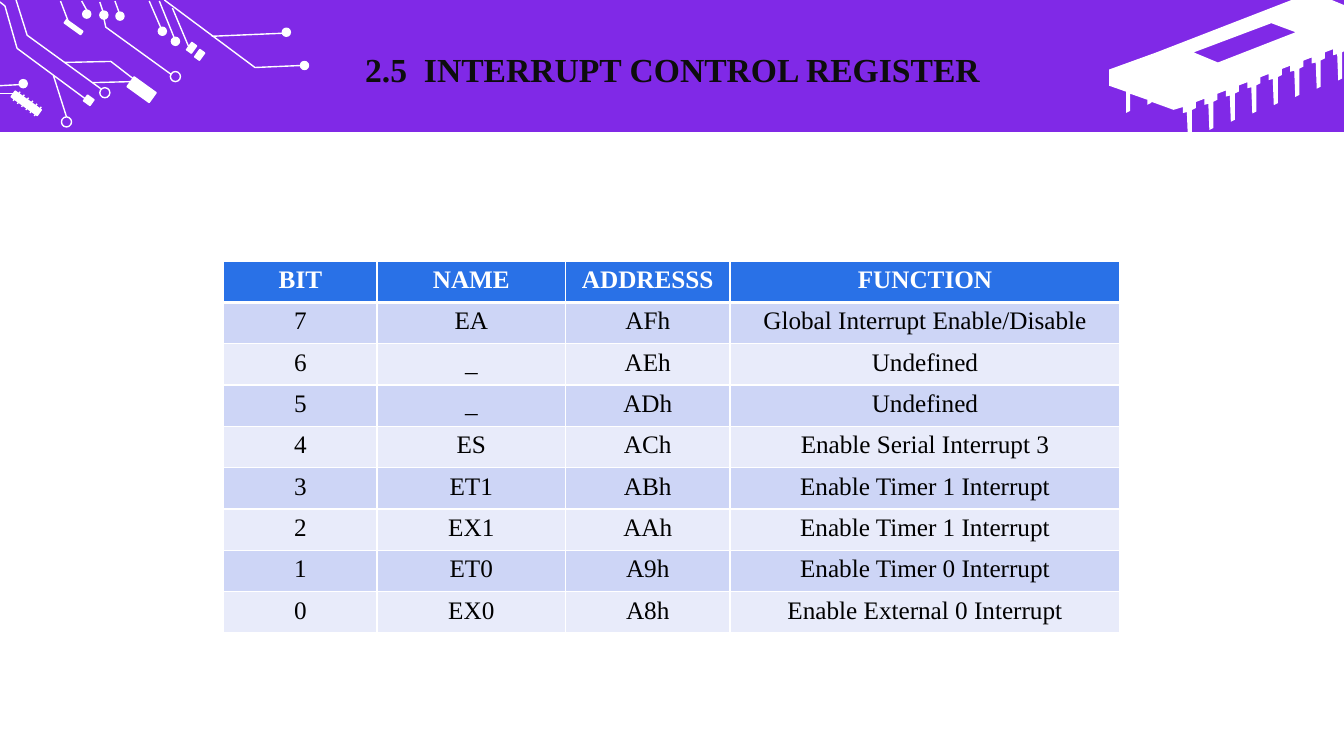
from dataclasses import dataclass

from lxml import etree
from pptx import Presentation
from pptx.dml.color import RGBColor
from pptx.enum.shapes import MSO_CONNECTOR, MSO_SHAPE
from pptx.enum.text import MSO_ANCHOR, MSO_AUTO_SIZE, PP_ALIGN
from pptx.oxml.ns import qn
from pptx.util import Inches, Pt

STRAIGHT = MSO_CONNECTOR.STRAIGHT
RECTANGLE, OVAL = MSO_SHAPE.RECTANGLE, MSO_SHAPE.OVAL
CENTER, MIDDLE = PP_ALIGN.CENTER, MSO_ANCHOR.MIDDLE
TITLE_ONLY_LAYOUT = 5


@dataclass(frozen=True)
class Theme:
    font: str = "Times New Roman"
    title_size: int = 24
    table_size: int = 18
    line_width: int = 1
    header_line_width: int = 3
    banner: str = "8029E7"
    white: str = "FFFFFF"
    title: str = "0D0D0D"
    header: str = "2971E7"
    body: str = "000000"
    bands: tuple = ("CDD5F6", "E8EBFA")


THEME = Theme()

TITLE = "2.5  INTERRUPT CONTROL REGISTER"
REGISTER_ROWS = [
    ("BIT", "NAME", "ADDRESSS", "FUNCTION"),
    ("7", "EA", "AFh", "Global Interrupt Enable/Disable"),
    ("6", "_", "AEh", "Undefined"),
    ("5", "_", "ADh", "Undefined"),
    ("4", "ES", "ACh", "Enable Serial Interrupt 3"),
    ("3", "ET1", "ABh", "Enable Timer 1 Interrupt"),
    ("2", "EX1", "AAh", "Enable Timer 1 Interrupt"),
    ("1", "ET0", "A9h", "Enable Timer 0 Interrupt"),
    ("0", "EX0", "A8h", "Enable External 0 Interrupt"),
]
COLUMN_WIDTHS = (1.52, 1.87, 1.63, 3.87)
ROW_HEIGHT = 0.41

# Circuit art, in inches
CIRCUIT_TILT = 35.7
PAD_SIZE, RING_SIZE = 0.08, 0.1
PADS = [(2.98, 0.61), (2.8, 0.28), (0.82, 0.1), (0.99, 0.11), (1.15, 0.12),
        (0.19, 0.79), (1.7, 0.37), (1.57, 0.27)]
RINGS = [(1.69, 0.71), (0.99, 0.87), (0.61, 1.16)]
COMPONENTS = [(1.27, 0.83, 0.27, 0.12), (0.63, 0.25, 0.2, 0.04),
              (0.84, 0.96, 0.08, 0.07), (1.87, 0.43, 0.06, 0.09),
              (1.95, 0.5, 0.06, 0.09), (0.1, 0.99, 0.32, 0.07)]
BENT_TRACES = [
    [(1.63, 0), (2.53, 0.67), (2.99, 0.65)],
    [(0.16, 0), (0.27, 0.35), (1, 0.88)],
    [(0, 0.02), (0.05, 0.06), (0.17, 0.48), (0.86, 0.99)],
    [(0.64, 0.62), (1.1, 0.61), (1.32, 0.78)],
    [(1.03, 0.18), (1.05, 0.27), (1.7, 0.74)],
]
STRAIGHT_TRACES = [
    (0.6, 0.01, 0.68, 0.22), (0.81, 0.01, 0.86, 0.1), (0.99, 0.02, 1.02, 0.11),
    (1.14, 0.01, 1.18, 0.12), (1.48, 0.01, 1.61, 0.31), (1.58, 0.01, 1.73, 0.38),
    (2.1, 0.36, 2.8, 0.33), (1.71, 0.08, 1.87, 0.46), (0, 0.85, 0.19, 0.84),
    (0, 0.93, 0.14, 0.93), (0.53, 0.75, 0.66, 1.16), (0.92, 0.82, 1.3, 0.81),
]
COIL_TURNS, COIL_STEP = 6, (0.042, 0.03)
COIL_TURN = (0.13, 1, 0.2, 0.91)

# Microchip outline, in inches
CHIP_WINDOW = [(12.61, 0.23), (11.84, 0.52), (12.08, 0.62), (12.85, 0.32)]
CHIP_TOP = [(11, 0.69), (11.47, 0.52), (12.81, 0), (13.21, 0), (13.33, 0.05),
            (13.33, 0.51)]
CHIP_PIN = [(13.14, 0.52), (13.14, 0.58), (13.1, 0.6), (13.1, 0.86),
            (13.06, 0.88), (13.05, 0.62), (13.01, 0.63), (13.01, 0.57)]
PIN_COUNT, PIN_STEP = 7, (-0.213, 0.082)
CHIP_FRONT = [(11.64, 1.09), (11.42, 1.01), (11.42, 1.02), (11.38, 1.04),
              (11.38, 0.99), (11.21, 0.93), (11.21, 1.1), (11.17, 1.12),
              (11.17, 0.91), (11, 0.85)]


def color(value):
    return RGBColor.from_string(value)


def paint(shape, fill=None, line=None):
    shape.shadow.inherit = False
    for fill_format, value in ((shape.fill, fill), (shape.line.fill, line)):
        if value:
            fill_format.solid()
            fill_format.fore_color.rgb = color(value)
        else:
            fill_format.background()
    if line:
        shape.line.width = Pt(THEME.line_width)


def add_preset(shapes, kind, box, fill=None, line=None, tilt=0):
    shape = shapes.add_shape(kind, *map(Inches, box))
    shape.rotation = tilt
    paint(shape, fill, line)


def add_outline(shapes, contours, closed, fill=None, line=None):
    """Draw all contours as one freeform; an inner contour cuts a hole."""
    builder = None
    for contour in contours:
        start, *rest = [(Inches(x), Inches(y)) for x, y in contour]
        if builder is None:
            builder = shapes.build_freeform(*start)
        else:
            builder.move_to(*start)
        builder.add_line_segments(rest, close=closed)
    paint(builder.convert_to_shape(), fill, line)


def add_trace(shapes, ends):
    connector = shapes.add_connector(STRAIGHT, *map(Inches, ends))
    connector.line.color.rgb = color(THEME.white)
    connector.line.width = Pt(THEME.line_width)
    etree.SubElement(connector.element.spPr, qn("a:effectLst"))


def add_circuit(slide):
    shapes = slide.shapes.add_group_shape().shapes
    white = THEME.white
    for box in COMPONENTS:
        add_preset(shapes, RECTANGLE, box, white, white, CIRCUIT_TILT)
    for pad in PADS:
        add_preset(shapes, OVAL, (*pad, PAD_SIZE, PAD_SIZE), white, white)
    for ring in RINGS:
        add_preset(shapes, OVAL, (*ring, RING_SIZE, RING_SIZE), line=white)
    for points in BENT_TRACES:
        add_outline(shapes, [points], closed=False, line=white)
    dx, dy = COIL_STEP
    x1, y1, x2, y2 = COIL_TURN
    coil = [(x1 + i * dx, y1 + i * dy, x2 + i * dx, y2 + i * dy)
            for i in range(COIL_TURNS)]
    for ends in STRAIGHT_TRACES + coil:
        add_trace(shapes, ends)


def add_chip(slide):
    dx, dy = PIN_STEP
    pins = [(x + i * dx, y + i * dy)
            for i in range(-1, PIN_COUNT) for x, y in CHIP_PIN]
    visible_pins = pins[2:]  # the slide edge cuts the first pin
    outline = CHIP_TOP + visible_pins + CHIP_FRONT
    add_outline(slide.shapes, [outline, CHIP_WINDOW], closed=True, fill=THEME.white)


def write(paragraph, text, size, text_color, bold):
    paragraph.alignment = CENTER
    run = paragraph.add_run()
    run.text = text
    run.font.name = THEME.font
    run.font.size = Pt(size)
    run.font.bold = bold
    run.font.color.rgb = color(text_color)


def set_borders(cell, bottom_width):
    properties = cell._tc.get_or_add_tcPr()
    widths = dict.fromkeys(("lnL", "lnR", "lnT"), THEME.line_width)
    for side, width in {**widths, "lnB": bottom_width}.items():
        line = etree.SubElement(properties, qn(f"a:{side}"), w=str(Pt(width)))
        fill = etree.SubElement(line, qn("a:solidFill"))
        etree.SubElement(fill, qn("a:srgbClr"), val=THEME.white)


def add_register_table(slide):
    row_count = len(REGISTER_ROWS)
    table = slide.shapes.add_table(
        row_count, len(COLUMN_WIDTHS), Inches(2.22), Inches(2.59),
        Inches(sum(COLUMN_WIDTHS)), Inches(ROW_HEIGHT * row_count)).table
    for column, width in zip(table.columns, COLUMN_WIDTHS):
        column.width = Inches(width)
    for i, values in enumerate(REGISTER_ROWS):
        is_header = i == 0
        fill = THEME.header if is_header else THEME.bands[(i - 1) % 2]
        text_color = THEME.white if is_header else THEME.body
        for cell, text in zip(table.rows[i].cells, values):
            set_borders(cell, THEME.header_line_width if is_header else THEME.line_width)
            cell.fill.solid()
            cell.fill.fore_color.rgb = color(fill)
            write(cell.text_frame.paragraphs[0], text, THEME.table_size,
                  text_color, is_header)


def add_title(slide):
    title = slide.shapes.title
    title.left, title.top, title.width, title.height = map(
        Inches, (0.34, 0.27, 12.66, 0.79))
    frame = title.text_frame
    frame.word_wrap = True
    frame.auto_size = MSO_AUTO_SIZE.NONE
    frame.vertical_anchor = MIDDLE
    paragraph = frame.paragraphs[0]
    paragraph.line_spacing = 1.1
    paragraph.space_before = Pt(10)
    write(paragraph, TITLE, THEME.title_size, THEME.title, True)
    title.element.getparent().append(title.element)  # in front of the banner


def main():
    presentation = Presentation()
    presentation.slide_width, presentation.slide_height = Inches(13.33), Inches(7.5)
    slide = presentation.slides.add_slide(presentation.slide_layouts[TITLE_ONLY_LAYOUT])
    add_preset(slide.shapes, RECTANGLE, (0, 0, 13.33, 1.31), THEME.banner)
    add_chip(slide)
    add_circuit(slide)
    add_register_table(slide)
    add_title(slide)
    presentation.save("out.pptx")


if __name__ == "__main__":
    main()
